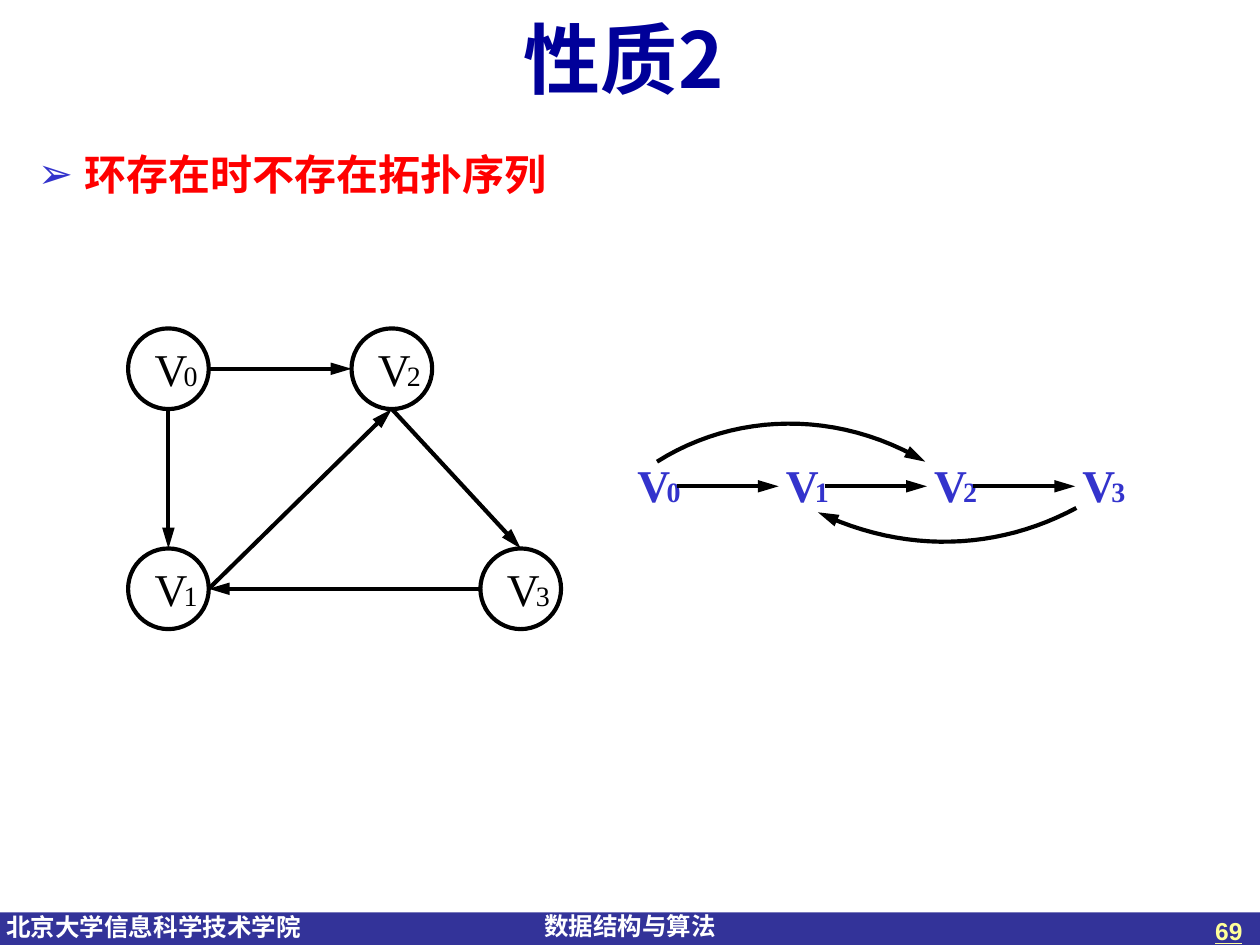
import pptx
import pptx.dml.color
import pptx.enum.shapes
import pptx.enum.text
import pptx.oxml
import pptx.oxml.ns
import pptx.util

COLORS = {"bar": "333399", "title": "000099", "accent": "3333CC", "point": "FF0000",
          "ink": "000000", "page": "FFFF99", "light": "FFFFFF"}
SERIF, SANS, CJK = "Times New Roman", "Arial", "Noto Sans CJK SC"
SLIDE_W, SLIDE_H = 10, 7.5
LINE_WIDTH = 2.38
NODE = 0.64
ALIGN = pptx.enum.text.PP_ALIGN
inches = pptx.util.Inches


def rgb(name):
    return pptx.dml.color.RGBColor.from_string(COLORS[name])


def element(tag, **attributes):
    made = pptx.oxml.parse_xml(f"<a:{tag} {pptx.oxml.ns.nsdecls('a')}/>")
    for key, value in attributes.items():
        made.set(key, value)
    return made


def write(frame, text, size, color, font, bold=False, align=ALIGN.LEFT, margins=(0.1, 0.05, 0.1, 0.05)):
    frame.text = text
    (frame.margin_left, frame.margin_top,
     frame.margin_right, frame.margin_bottom) = map(inches, margins)
    paragraph = frame.paragraphs[0]
    paragraph.alignment = align
    run = paragraph.runs[0]
    run.font.size, run.font.bold, run.font.name = pptx.util.Pt(size), bold, font
    run.font.color.rgb = rgb(color)
    if font == CJK:
        run.font._element.append(element("ea", typeface=CJK))
    return paragraph


def add_text(slide, box, *style, wrap=False, **options):
    frame = slide.shapes.add_textbox(*map(inches, box)).text_frame
    frame.word_wrap = wrap
    return write(frame, *style, **options)


def place(shape, box):
    shape.left, shape.top, shape.width, shape.height = map(inches, box)


def ink_line(shape, arrow=True):
    shape.line.color.rgb = rgb("ink")
    shape.line.width = pptx.util.Pt(LINE_WIDTH)
    if arrow:
        shape.line._get_or_add_ln().append(element("tailEnd", type="triangle", w="med", len="lg"))


def add_arrow(slide, start, end):
    arrow = slide.shapes.add_connector(pptx.enum.shapes.MSO_CONNECTOR.STRAIGHT,
                                       *map(inches, (*start, *end)))
    ink_line(arrow)
    arrow._element.spPr.append(element("effectLst"))


def add_curved_arrow(slide, controls, steps=24):
    """Cubic curve through four control points, with a head at its end."""
    def point(t):
        weights = ((1 - t) ** 3, 3 * t * (1 - t) ** 2, 3 * t ** 2 * (1 - t), t ** 3)
        return tuple(inches(sum(w * c[axis] for w, c in zip(weights, controls))) for axis in (0, 1))

    points = [point(i / steps) for i in range(steps + 1)]
    builder = slide.shapes.build_freeform(*points[0])
    builder.add_line_segments(points[1:], close=False)
    curve = builder.convert_to_shape()
    curve.fill.background()
    curve.shadow.inherit = False
    ink_line(curve)


def add_vertex_label(slide, left, top, index, color, bold):
    for text, size, dx, dy, width, height in (("V", 26, 0, 0, 0.26, 0.43),
                                              (str(index), 16, 0.23, 0.14, 0.11, 0.27)):
        add_text(slide, (left + dx, top + dy, width, height), text, size, color, SERIF,
                 bold=bold, align=ALIGN.CENTER, margins=(0, 0, 0, 0))


def add_footer(slide, box):
    left, top, width, height = box
    bar = slide.shapes.add_shape(pptx.enum.shapes.MSO_SHAPE.RECTANGLE, *map(inches, box))
    bar.fill.solid()
    bar.fill.fore_color.rgb = rgb("bar")
    bar.line.fill.background()
    bar.shadow.inherit = False
    for text, x, dy, w in (("北京大学信息科学技术学院", 0.05, -0.05, 2.46),
                           ("数据结构与算法", 4.32, -0.06, 1.5)):
        add_text(slide, (left + x, top + dy, w, 0.34), text, 14, "light", SANS,
                 bold=True, margins=(0, 0.05, 0.1, 0.05))
    number = add_text(slide, (left + 0.76 * width, top - 0.02, 0.24 * width - 0.04, 0.52), "69", 14,
                      "page", SANS, bold=True, align=ALIGN.RIGHT, wrap=True)
    number.runs[0].font.underline = True


def add_title(slide, box):
    title = slide.shapes.title
    place(title, box)
    title.text_frame.vertical_anchor = pptx.enum.text.MSO_ANCHOR.MIDDLE
    write(title.text_frame, "性质2", 44, "title", CJK, bold=True, align=ALIGN.CENTER,
          margins=(0.2, 0.05, 0.3, 0.05))


def add_point(slide, box):
    body = slide.placeholders[1]
    place(body, box)
    point = write(body.text_frame, "环存在时不存在拓扑序列", 24, "point", CJK, bold=True)
    point.line_spacing = 1.35
    point.space_before = pptx.util.Pt(0)
    properties = point._p.get_or_add_pPr()
    properties.set("marL", str(inches(0.37)))
    properties.set("indent", str(-inches(0.37)))
    bullet_color = element("buClr")
    bullet_color.append(element("srgbClr", val=COLORS["accent"]))
    properties.append(bullet_color)
    properties.append(element("buChar", char="➢"))


def add_graph(slide, box):
    left, top, width, height = box
    radius = NODE / 2
    shares = ((0.09, 0.13), (0.09, 0.87), (0.61, 0.13), (0.91, 0.87))
    centers = [(left + x * width, top + y * height) for x, y in shares]
    # Vertices
    for index, (x, y) in enumerate(centers):
        node = slide.shapes.add_shape(pptx.enum.shapes.MSO_SHAPE.OVAL,
                                      *map(inches, (x - radius, y - radius, NODE, NODE)))
        node.fill.background()
        node.shadow.inherit = False
        ink_line(node, arrow=False)
        add_vertex_label(slide, x - 0.11, y - 0.22, index, "ink", False)
    # Edges, each from one side of a vertex to a side of another
    sides = {"left": (-1, 0), "right": (1, 0), "top": (0, -1), "bottom": (0, 1)}

    def edge_point(vertex, side):
        return tuple(c + radius * d for c, d in zip(centers[vertex], sides[side]))

    for source, out, target, into in ((0, "right", 2, "left"), (0, "bottom", 1, "top"),
                                      (1, "right", 2, "bottom"), (2, "bottom", 3, "top"),
                                      (3, "left", 1, "right")):
        add_arrow(slide, edge_point(source, out), edge_point(target, into))


def add_sequence(slide, box):
    left, top, width, height = box
    step = (width - 0.34) / 3
    # Vertices in a row, each pointing at the next
    for index in range(4):
        x = left + index * step
        add_vertex_label(slide, x, top + 0.33 * height, index, "accent", True)
        if index < 3:
            y = top + 0.53 * height
            add_arrow(slide, (x + 0.31, y), (x + 1.12, y))
    # Forward edge above, back edge below
    for arc in (((0.04, 0.36), (0.2, 0.02), (0.41, 0), (0.59, 0.36)),
                ((0.9, 0.68), (0.74, 0.97), (0.55, 1), (0.37, 0.71))):
        add_curved_arrow(slide, [(left + x * width, top + y * height) for x, y in arc])


def main():
    deck = pptx.Presentation()
    deck.slide_width, deck.slide_height = inches(SLIDE_W), inches(SLIDE_H)
    slide = deck.slides.add_slide(deck.slide_layouts[1])
    add_footer(slide, (0, 7.24, SLIDE_W, 0.28))
    add_title(slide, (0, 0, SLIDE_W, 0.91))
    add_point(slide, (0.2, 0.99, 9.61, 6.06))
    add_sequence(slide, (5.06, 3.25, 3.87, 1.15))
    add_graph(slide, (1.03, 2.62, 3.41, 2.36))
    deck.save("out.pptx")


if __name__ == "__main__":
    main()
